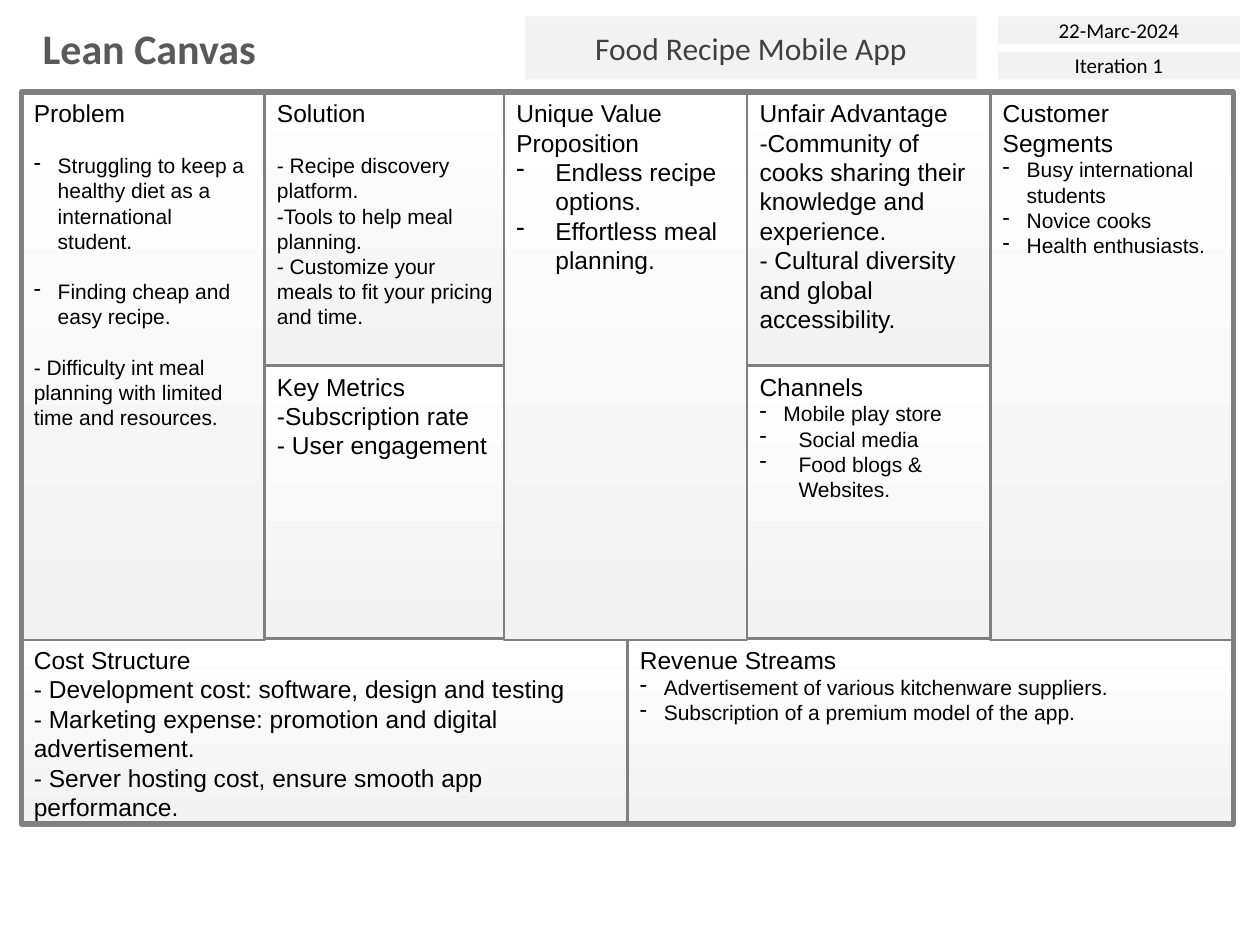
import pptx
import pptx.util
import pptx.dml.color
import pptx.enum.shapes
import pptx.enum.text
import pptx.oxml.ns
from lxml import etree

Inches = pptx.util.Inches
Pt = pptx.util.Pt
Shape = pptx.enum.shapes.MSO_SHAPE
Align = pptx.enum.text.PP_ALIGN
Anchor = pptx.enum.text.MSO_ANCHOR
qn = pptx.oxml.ns.qn


def color(code):
    return pptx.dml.color.RGBColor.from_string(code)


class Canvas:
    head, body = "Calibri", "Arial"
    pale, white, edge, ink = "F2F2F2", "FFFFFF", "808080", "000000"

    def __init__(self, slide):
        self.slide = slide

    def run(self, para, text, size, font, ink, bold=False):
        run = para.add_run()
        run.text = text
        run.font.size = Pt(size)
        run.font.name = font
        run.font.bold = bold
        run.font.color.rgb = color(ink)

    def title(self, x, y, w, h, text):
        box = self.slide.shapes.add_textbox(*map(Inches, (x, y, w, h)))
        frame = box.text_frame
        frame.word_wrap = False
        frame.auto_size = pptx.enum.text.MSO_AUTO_SIZE.SHAPE_TO_FIT_TEXT
        self.run(frame.paragraphs[0], text, 24, self.head, "595959", True)

    def shape(self, kind, x, y, w, h):
        shape = self.slide.shapes.add_shape(kind, *map(Inches, (x, y, w, h)))
        shape.shadow.inherit = False
        shape.text_frame.word_wrap = True
        return shape

    def label(self, x, y, w, h, text, size, ink):
        shape = self.shape(Shape.RECTANGLE, x, y, w, h)
        shape.fill.solid()
        shape.fill.fore_color.rgb = color(self.pale)
        shape.line.fill.background()
        frame = shape.text_frame
        frame.vertical_anchor = Anchor.MIDDLE
        para = frame.paragraphs[0]
        para.alignment = Align.CENTER
        self.run(para, text, size, self.head, ink)

    def frame(self, x, y, w, h, width):
        shape = self.shape(Shape.ROUNDED_RECTANGLE, x, y, w, h)
        shape.adjustments[0] = 0
        shape.fill.background()
        shape.line.color.rgb = color(self.edge)
        shape.line.width = Pt(width)
        return shape

    def bullet(self, para, indent):
        props = para._p.get_or_add_pPr()
        props.set("marL", str(Inches(indent)))
        props.set("indent", str(-Inches(indent)))
        etree.SubElement(props, qn("a:buChar")).set("char", "-")

    def card(self, x, y, w, h, name, size, items):
        """Each item is (text, hanging indent, space before in points)."""
        shape = self.frame(x, y, w, h, 1.5)
        shape.fill.gradient()
        shape.fill.gradient_angle = 90
        for stop, code in zip(shape.fill.gradient_stops, (self.pale, self.white)):
            stop.color.rgb = color(code)
        frame = shape.text_frame
        frame.vertical_anchor = Anchor.TOP
        para = frame.paragraphs[0]
        para.alignment = Align.LEFT
        self.run(para, name, 14, self.body, self.ink)
        for text, indent, gap in items:
            para = frame.add_paragraph()
            para.alignment = Align.LEFT
            if gap:
                para.space_before = Pt(gap)
            if indent:
                self.bullet(para, indent)
            self.run(para, text, size, self.body, self.ink)


def main():
    deck = pptx.Presentation()
    deck.slide_width, deck.slide_height = Inches(10), Inches(7.5)
    page = Canvas(deck.slides.add_slide(deck.slide_layouts[6]))

    # Header
    page.title(0.24, 0.13, 1.92, 0.5, "Lean Canvas")
    page.label(4.17, 0.13, 3.58, 0.5, "Food Recipe Mobile App", 18, "404040")
    page.label(7.92, 0.13, 1.92, 0.22, "22-Marc-2024", 12, page.ink)
    page.label(7.92, 0.41, 1.92, 0.22, "Iteration 1", 12, page.ink)

    # Grid measures
    left, top, wide, col = 0.17, 0.73, 9.62, 1.93
    tall, half, base = 4.35, 2.17, 1.46
    mid, low = top + half, 5.07
    cols = [left, 2.1, 4, 5.93, 7.86]
    near, far, line = 0.19, 0.31, 14.4

    # Bottom row
    page.card(left, low, wide / 2, base, "Cost Structure", 14, [
        ("- Development cost: software, design and testing", 0, 0),
        ("- Marketing expense: promotion and digital advertisement.", 0, 0),
        ("- Server hosting cost, ensure smooth app performance.", 0, 0)])
    page.card(left + wide / 2, low, wide / 2, base, "Revenue Streams", 12, [
        ("Advertisement of various kitchenware suppliers.", near, 0),
        ("Subscription of a premium model of the app.", near, 0)])

    # Columns, left to right
    cards = [
        (0, top, tall, "Problem", 12, [
            ("Struggling to keep a healthy diet as a international student.",
             near, line),
            ("Finding cheap and easy recipe.", near, line),
            ("- Difficulty int meal planning with limited time and resources.",
             0, line)]),
        (1, top, half, "Solution", 12, [
            ("- Recipe discovery platform.", 0, line),
            ("-Tools to help meal planning.", 0, 0),
            ("- Customize your meals to fit your pricing and time.", 0, 0)]),
        (1, mid, half, "Key Metrics", 14, [
            ("-Subscription rate", 0, 0),
            ("- User engagement", 0, 0)]),
        (2, top, tall, "Unique Value Proposition", 14, [
            ("Endless recipe options.", far, 0),
            ("Effortless meal planning.", far, 0)]),
        (3, top, half, "Unfair Advantage", 14, [
            ("-Community of cooks sharing their knowledge and experience.",
             0, 0),
            ("- Cultural diversity and global accessibility.", 0, 0)]),
        (3, mid, half, "Channels", 12, [
            ("Mobile play store", near, 0),
            ("Social media", far, 0),
            ("Food blogs & Websites.", far, 0)]),
        (4, top, tall, "Customer Segments", 12, [
            ("Busy international students", near, 0),
            ("Novice cooks", near, 0),
            ("Health enthusiasts.", near, 0)]),
    ]
    for spot, y, h, name, size, items in cards:
        page.card(cols[spot], y, col, h, name, size, items)

    # Outer border
    page.frame(left, top, wide, 5.81, 3)

    deck.save("out.pptx")


if __name__ == "__main__":
    main()
